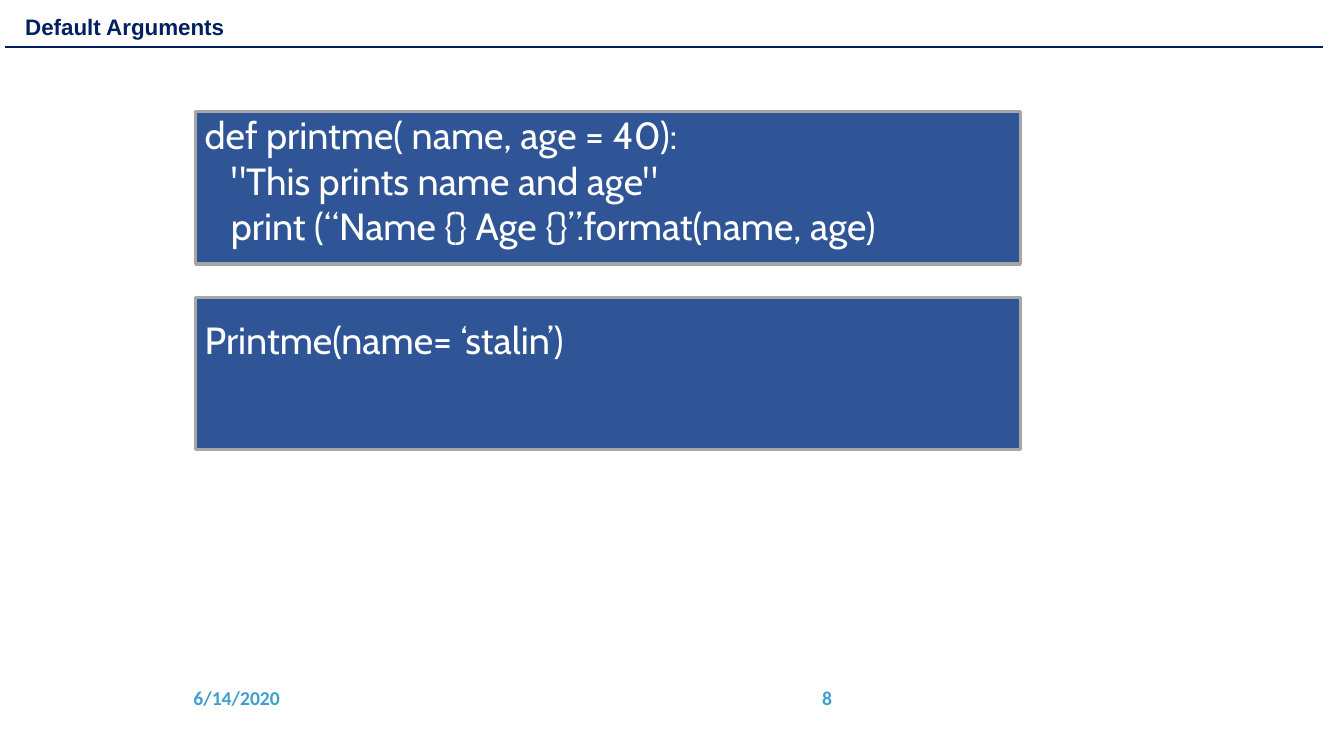
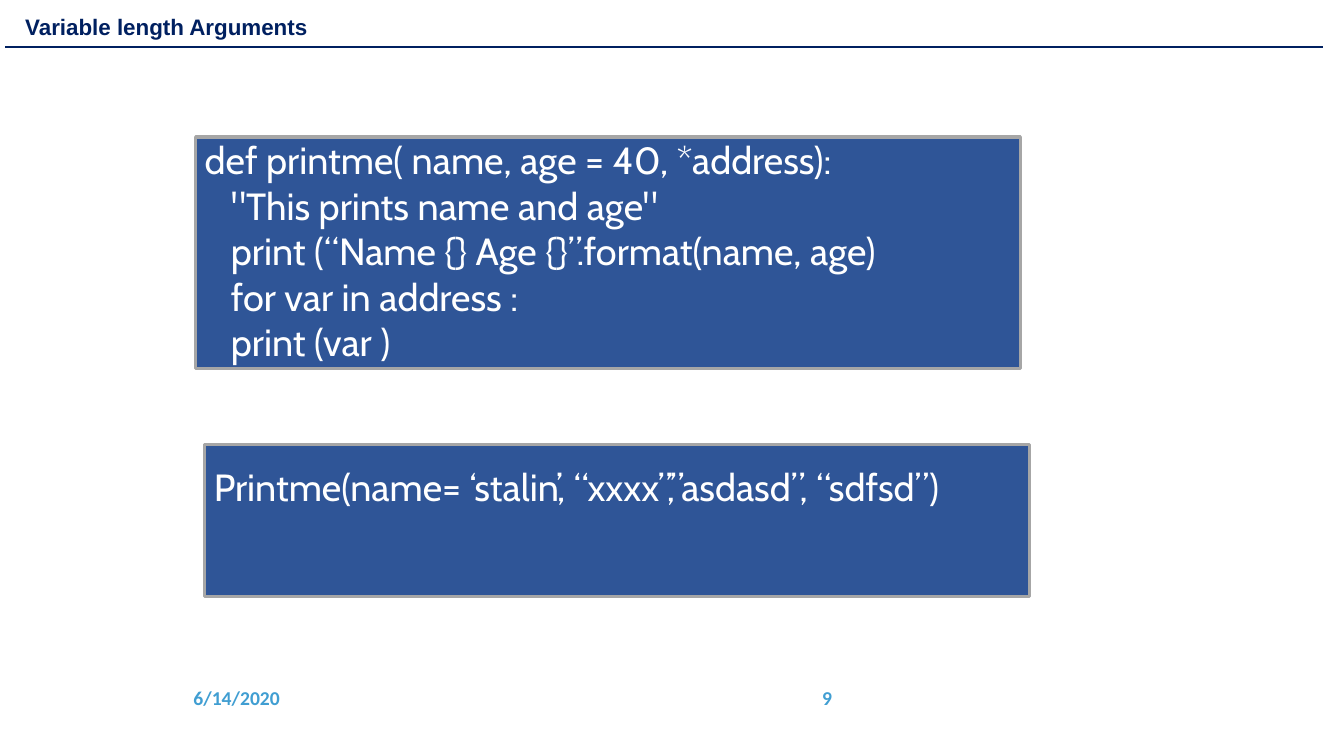
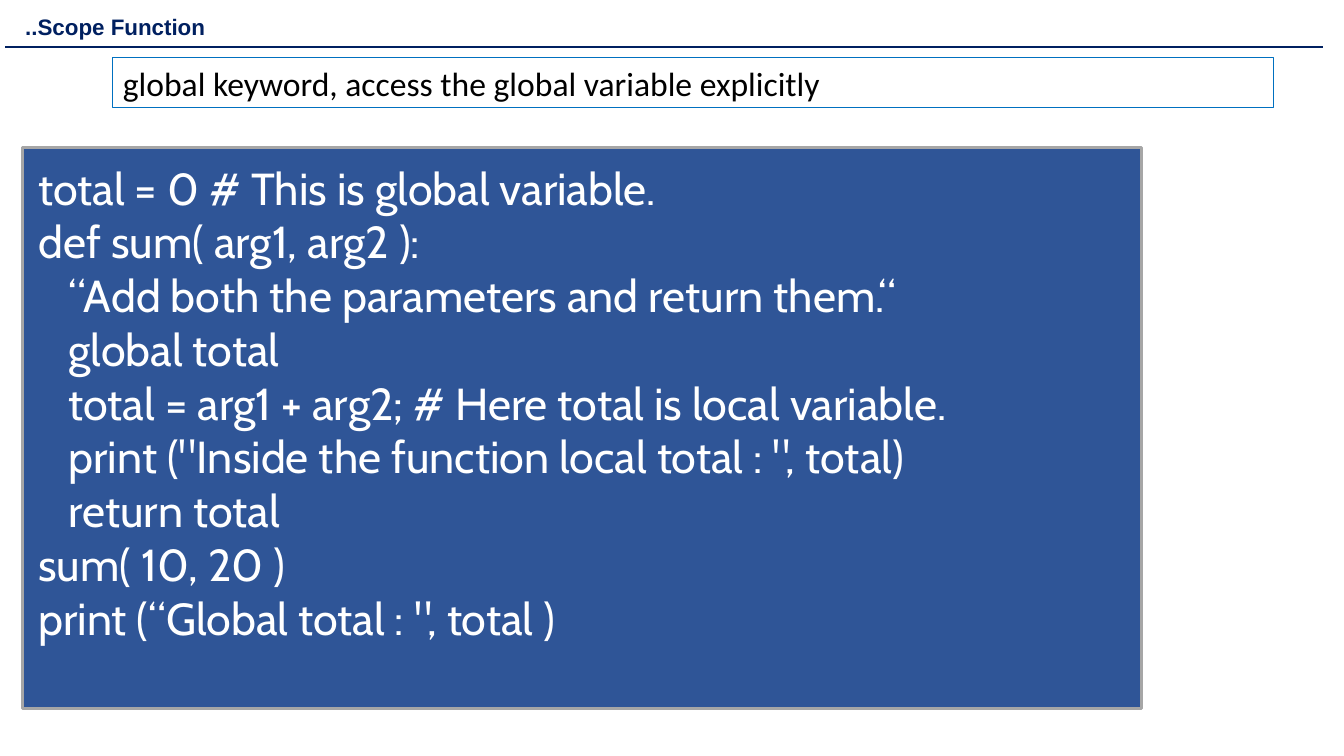
from dataclasses import dataclass

import pptx
import pptx.dml.color
import pptx.enum.shapes
import pptx.enum.text
import pptx.oxml.ns
import pptx.util
from pptx.util import Inches

COLOURS = {
    "navy": "002060",
    "panel": "2F5597",
    "panel_edge": "A6A6A6",
    "footer": "409ED2",
    "note_edge": "0070C0",
    "white": "FFFFFF",
    "black": "000000",
}
TITLE_ONLY_LAYOUT = 5
DATE = "6/14/2020"
RECTANGLE = pptx.enum.shapes.MSO_SHAPE.RECTANGLE
ALIGN = pptx.enum.text.PP_ALIGN
ANCHOR = pptx.enum.text.MSO_ANCHOR


@dataclass
class Box:
    left: float
    top: float
    width: float
    height: float

    def lengths(self):
        return [Inches(value) for value in (self.left, self.top, self.width, self.height)]


@dataclass
class CodeLine:
    text: str
    indented: bool = False


@dataclass
class CodePanel:
    box: Box
    lines: list[CodeLine]
    size: int = 27
    inset_left: float = 0.09
    inset_top: float = 0


@dataclass
class Page:
    title: str
    panels: list[CodePanel]
    number: str = ""
    note: str = ""


TITLE_BOX = Box(0.15, 0.1, 9.04, 0.35)
NOTE_BOX = Box(1.12, 0.57, 11.51, 0.5)
DATE_BOX = Box(1.82, 6.72, 1.38, 0.4)
NUMBER_BOX = Box(5.32, 6.72, 3.03, 0.4)

# Code that the first two slides have in common
PRINT_BODY = [
    CodeLine('"This prints name and age"', True),
    CodeLine("print (“Name {} Age {}”.format(name, age)", True),
]

PAGES = [
    Page(
        "Default Arguments",
        [
            CodePanel(
                Box(1.94, 1.11, 8.18, 1.51),
                [CodeLine("def printme( name, age = 40):"), *PRINT_BODY],
            ),
            CodePanel(
                Box(1.94, 2.95, 8.18, 1.51),
                [CodeLine("Printme(name= ‘stalin’)")],
                inset_top=0.19,
            ),
        ],
        number="8",
    ),
    Page(
        "Variable length Arguments",
        [
            CodePanel(
                Box(1.94, 1.36, 8.18, 2.3),
                [
                    CodeLine("def printme( name, age = 40, *address):"),
                    *PRINT_BODY,
                    CodeLine("for var in address :", True),
                    CodeLine("print (var )", True),
                ],
            ),
            CodePanel(
                Box(2.03, 4.41, 8.18, 1.51),
                [CodeLine("Printme(name= ‘stalin’, “xxxx”,”asdasd”, “sdfsd”)")],
                inset_top=0.19,
            ),
        ],
        number="9",
    ),
    Page(
        "..Scope Function",
        [
            CodePanel(
                Box(0.22, 1.46, 11.1, 5.57),
                [
                    CodeLine("total = 0 # This is global variable."),
                    CodeLine("def sum( arg1, arg2 ):"),
                    CodeLine("“Add both the parameters and return them.“", True),
                    CodeLine("global total", True),
                    CodeLine("total = arg1 + arg2; # Here total is local variable.", True),
                    CodeLine('print ("Inside the function local total : ", total)', True),
                    CodeLine("return total", True),
                    CodeLine("sum( 10, 20 )"),
                    CodeLine('print (“Global total : ", total )'),
                ],
                size=32,
                inset_left=0.16,
                inset_top=0.13,
            )
        ],
        note="global keyword, access the global variable explicitly",
    ),
]


def rgb(name: str) -> pptx.dml.color.RGBColor:
    return pptx.dml.color.RGBColor.from_string(COLOURS[name])


def format_paragraph(paragraph, font_name: str, size: int, colour: str,
                     bold: bool = False, align=ALIGN.LEFT) -> None:
    paragraph.alignment = align
    for run in paragraph.runs:
        run.font.name = font_name
        run.font.size = pptx.util.Pt(size)
        run.font.bold = bold
        run.font.color.rgb = rgb(colour)


def add_title(slide, text: str) -> None:
    title = slide.shapes.title
    title.left, title.top, title.width, title.height = TITLE_BOX.lengths()
    title.fill.solid()
    title.fill.fore_color.rgb = rgb("white")
    text_frame = title.text_frame
    text_frame.text = text
    text_frame.auto_size = pptx.enum.text.MSO_AUTO_SIZE.NONE
    text_frame.vertical_anchor = ANCHOR.BOTTOM
    paragraph = text_frame.paragraphs[0]
    paragraph.line_spacing = 0.9
    format_paragraph(paragraph, "Arial", 16, "navy", bold=True)


def add_title_rule(slide) -> None:
    rule = slide.shapes.add_connector(
        pptx.enum.shapes.MSO_CONNECTOR.STRAIGHT,
        Inches(0.05), Inches(0.47), Inches(13.12), Inches(0.47),
    )
    rule.line.color.rgb = rgb("navy")
    rule.line.width = pptx.util.Pt(1.5)
    properties = rule._element.spPr
    properties.append(properties.makeelement(pptx.oxml.ns.qn("a:effectLst"), {}))


def add_footer_text(slide, box: Box, text: str, align) -> None:
    text_frame = slide.shapes.add_textbox(*box.lengths()).text_frame
    text_frame.word_wrap = True
    text_frame.vertical_anchor = ANCHOR.MIDDLE
    text_frame.text = text
    format_paragraph(text_frame.paragraphs[0], "Calibri", 14, "footer", bold=True, align=align)


def add_rectangle(slide, box: Box, edge: str, edge_width: float):
    shape = slide.shapes.add_shape(RECTANGLE, *box.lengths())
    shape.shadow.inherit = False
    shape.line.color.rgb = rgb(edge)
    shape.line.width = pptx.util.Pt(edge_width)
    return shape


def add_code_panel(slide, panel: CodePanel) -> None:
    shape = add_rectangle(slide, panel.box, "panel_edge", 2.25)
    shape.fill.solid()
    shape.fill.fore_color.rgb = rgb("panel")
    text_frame = shape.text_frame
    text_frame.vertical_anchor = ANCHOR.TOP
    text_frame.margin_left = Inches(panel.inset_left)
    text_frame.margin_top = Inches(panel.inset_top)
    text_frame.margin_right = text_frame.margin_bottom = 0
    text_frame.text = "\n".join(line.text for line in panel.lines)
    # The code indent grows with the text size
    indent = Inches(round(panel.size * 0.0095, 2))
    for line, paragraph in zip(panel.lines, text_frame.paragraphs):
        format_paragraph(paragraph, "Cabin", panel.size, "white")
        if line.indented:
            paragraph._p.get_or_add_pPr().set("marL", str(indent))


def add_note(slide, text: str) -> None:
    shape = add_rectangle(slide, NOTE_BOX, "note_edge", 0.75)
    shape.fill.background()
    shape.text_frame.text = text
    format_paragraph(shape.text_frame.paragraphs[0], "Calibri", 24, "black")


def build_slide(presentation, page: Page) -> None:
    slide = presentation.slides.add_slide(presentation.slide_layouts[TITLE_ONLY_LAYOUT])
    add_title(slide, page.title)
    add_title_rule(slide)
    for panel in page.panels:
        add_code_panel(slide, panel)
    if page.note:
        add_note(slide, page.note)
    if page.number:
        add_footer_text(slide, DATE_BOX, DATE, ALIGN.LEFT)
        add_footer_text(slide, NUMBER_BOX, page.number, ALIGN.RIGHT)


def main() -> None:
    presentation = pptx.Presentation()
    presentation.slide_width = Inches(13.33)
    presentation.slide_height = Inches(7.5)
    for page in PAGES:
        build_slide(presentation, page)
    presentation.save("out.pptx")


if __name__ == "__main__":
    main()
